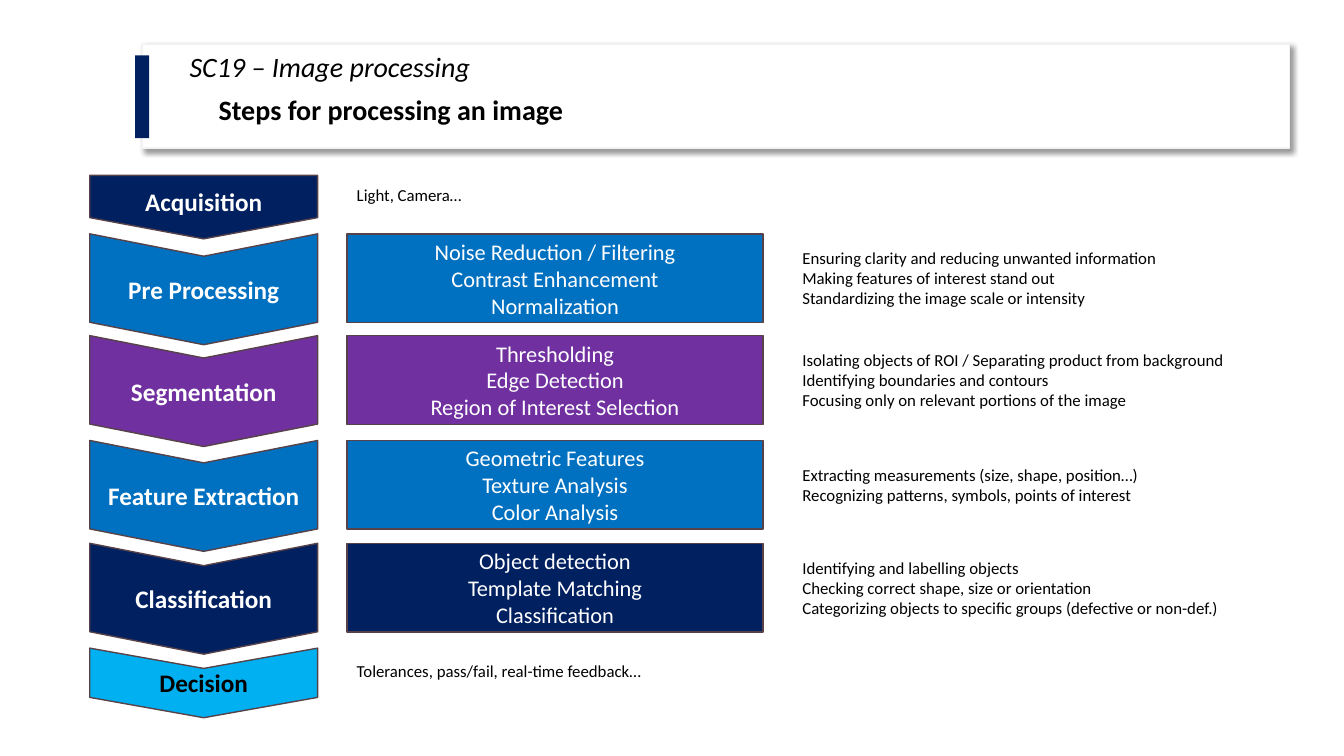
from lxml import etree
from pptx import Presentation
from pptx import util as u
from pptx.dml.color import RGBColor
from pptx.enum import shapes, text
from pptx.oxml import ns

PX = 9144
NAVY = RGBColor(0x00, 0x20, 0x60)
BLUE = RGBColor(0x00, 0x70, 0xC0)
PURPLE = RGBColor(0x70, 0x30, 0xA0)
SKY = RGBColor(0x00, 0xB0, 0xF0)
OUTLINE = RGBColor(0x57, 0x42, 0x49)
PANEL_EDGE = RGBColor(0xF2, 0xF2, 0xF2)
WHITE = RGBColor(0xFF, 0xFF, 0xFF)
BLACK = RGBColor(0x00, 0x00, 0x00)

STEP_TEXT = {"size": u.Pt(18), "bold": True}
METHOD_TEXT = {"size": u.Pt(16)}
NOTE_TEXT = {"size": u.Pt(12)}
TITLE_TEXT = {"size": u.Pt(20), "italic": True, "bold": False}
SUBTITLE_TEXT = {"size": u.Pt(20), "bold": True}

STAGES = [
    ("Pre Processing", BLUE, 232,
     ["Noise Reduction / Filtering", "Contrast Enhancement", "Normalization"],
     ["Ensuring clarity and reducing unwanted information",
      "Making features of interest stand out",
      "Standardizing the image scale or intensity"]),
    ("Segmentation", PURPLE, 333,
     ["Thresholding", "Edge Detection", "Region of Interest Selection"],
     ["Isolating objects of ROI / Separating product from background",
      "Identifying boundaries and contours",
      "Focusing only on relevant portions of the image"]),
    ("Feature Extraction", BLUE, 437,
     ["Geometric Features", "Texture Analysis", "Color Analysis"],
     ["Extracting measurements (size, shape, position…)",
      "Recognizing patterns, symbols, points of interest"]),
    ("Classification", NAVY, 539,
     ["Object detection", "Template Matching", "Classification"],
     ["Identifying and labelling objects",
      "Checking correct shape, size or orientation",
      "Categorizing objects to specific groups (defective or non-def.)"]),
]


def emu(*lengths):
    return [u.Emu(int(length * PX)) for length in lengths]


def write(frame, lines, formats, color, align=text.PP_ALIGN.LEFT):
    frame.word_wrap = True
    for number, line in enumerate(lines):
        paragraph = frame.add_paragraph() if number else frame.paragraphs[0]
        paragraph.alignment = align
        run = paragraph.add_run()
        run.text = line
        run.font.name = "Calibri"
        run.font.color.rgb = color
        for key, value in formats.items():
            setattr(run.font, key, value)


def add_block(slide, kind, box, fill, edge=None):
    block = slide.shapes.add_shape(kind, *emu(*box))
    block.shadow.inherit = False
    block.fill.solid()
    block.fill.fore_color.rgb = fill
    if edge is None:
        block.line.fill.background()
    else:
        block.line.color.rgb = edge
        block.line.width = u.Pt(1)
    return block


def add_note(slide, box, lines, formats=NOTE_TEXT):
    note = slide.shapes.add_textbox(*emu(*box))
    write(note.text_frame, lines, formats, BLACK)
    note.text_frame.auto_size = text.MSO_AUTO_SIZE.SHAPE_TO_FIT_TEXT


def add_header(slide, box):
    left, top, width, height = box
    panel = add_block(slide, shapes.MSO_SHAPE.RECTANGLE, box, WHITE, PANEL_EDGE)
    effects = panel.element.spPr.find(ns.qn("a:effectLst"))
    shadow = etree.SubElement(effects, ns.qn("a:outerShdw"), blurRad=str(u.Pt(4)),
                              dist=str(u.Pt(3)), dir="2700000", algn="tl", rotWithShape="0")
    tint = etree.SubElement(shadow, ns.qn("a:srgbClr"), val=str(BLACK))
    etree.SubElement(tint, ns.qn("a:alpha"), val="40000")
    add_block(slide, shapes.MSO_SHAPE.RECTANGLE, (left - 7, top + 11, 14, 82), NAVY)

    title = slide.shapes.title
    title.left, title.top, title.width, title.height = emu(left + 37, top + 4, 915, 77)
    write(title.text_frame, ["SC19 – Image processing"], TITLE_TEXT, BLACK)
    title.text_frame.vertical_anchor = text.MSO_ANCHOR.TOP
    title.text_frame.auto_size = text.MSO_AUTO_SIZE.NONE
    title.text_frame.paragraphs[0].line_spacing = 0.9
    title.element.getparent().append(title.element)
    add_note(slide, (left + 66, top + 43, 687, 44), ["Steps for processing an image"],
             SUBTITLE_TEXT)


def add_step(slide, box, name, fill, kind=shapes.MSO_SHAPE.CHEVRON, point=0.202, color=WHITE):
    left, top, width, height = box
    shift = (width - height) / 2
    step = add_block(slide, kind, (left + shift, top - shift, height, width), fill, OUTLINE)
    step.rotation = 90
    step.adjustments[0] = point
    frame = step.text_frame
    write(frame, [name], STEP_TEXT, color, text.PP_ALIGN.CENTER)
    frame.vertical_anchor = text.MSO_ANCHOR.MIDDLE
    step.element.txBody.find(ns.qn("a:bodyPr")).set("vert", "vert270")


def add_stage(slide, box, name, fill, methods, purposes):
    left, top, width, height = box
    add_step(slide, (left, top, 226, height + 22), name, fill)
    card = add_block(slide, shapes.MSO_SHAPE.RECTANGLE, (left + 255, top, 413, height),
                     fill, OUTLINE)
    write(card.text_frame, methods, METHOD_TEXT, WHITE, text.PP_ALIGN.CENTER)
    card.text_frame.vertical_anchor = text.MSO_ANCHOR.MIDDLE
    note_height = 20 * len(purposes) + 10
    add_note(slide, (left + 697, top + (height - note_height) // 2, width - 697, note_height),
             purposes)


def add_process(slide, box):
    left, top, width, height = box
    add_step(slide, (left, top, 226, 63), "Acquisition", NAVY,
             shapes.MSO_SHAPE.PENTAGON, 0.334)
    add_note(slide, (left + 255, top + 4, 503, 30), ["Light, Camera…"])
    for name, fill, stage_top, methods, purposes in STAGES:
        add_stage(slide, (left, stage_top, width, 88), name, fill, methods, purposes)
    decision_top = top + height - 69
    add_step(slide, (left, decision_top, 226, 69), "Decision", SKY, point=0.292, color=BLACK)
    add_note(slide, (left + 255, decision_top + 8, 503, 30),
             ["Tolerances, pass/fail, real-time feedback…"])


def main():
    deck = Presentation()
    deck.slide_width, deck.slide_height = emu(1333, 750)
    slide = deck.slides.add_slide(deck.slide_layouts.get_by_name("Title Only"))
    add_header(slide, (141, 44, 1138, 103))
    add_process(slide, (89, 174, 1200, 538))
    deck.save("out.pptx")


if __name__ == "__main__":
    main()
